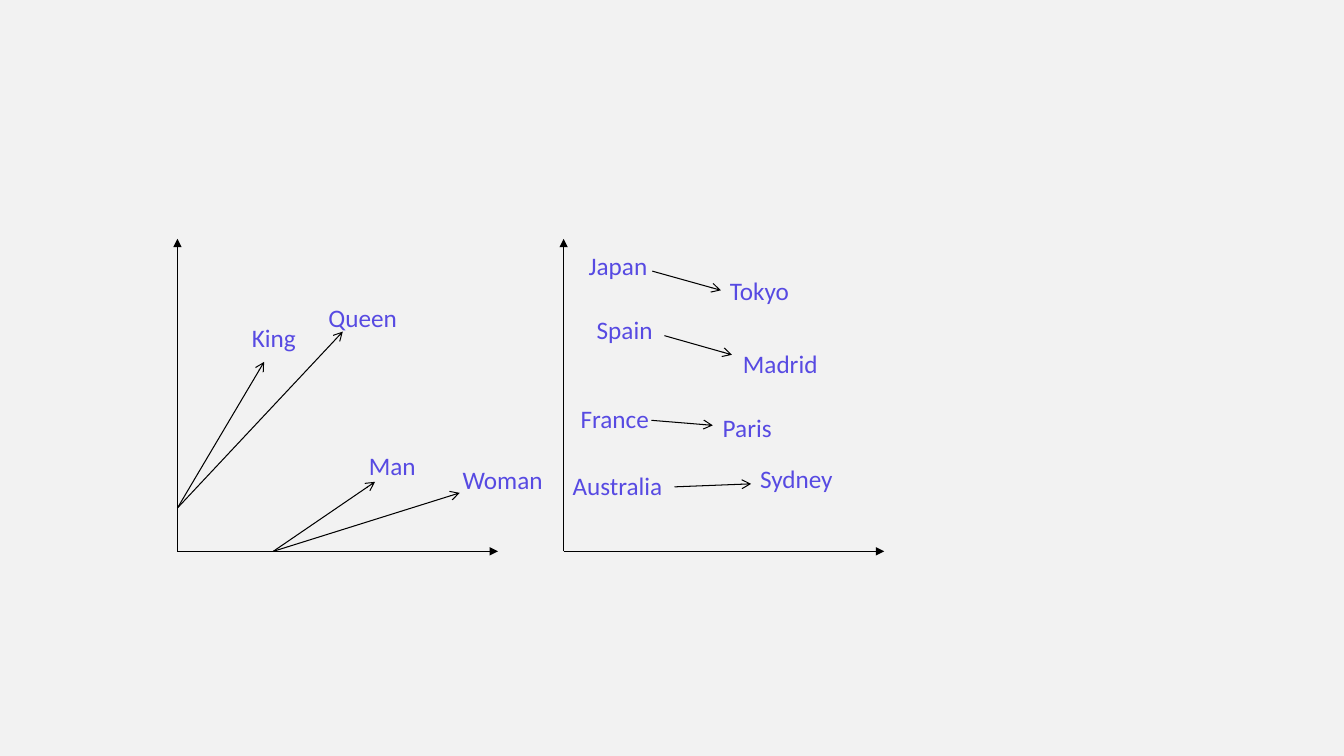
from lxml.etree import SubElement
from pptx import Presentation
from pptx.dml.color import RGBColor
from pptx.enum.shapes import MSO_CONNECTOR as Connector, MSO_SHAPE as Shape
from pptx.enum.text import MSO_AUTO_SIZE as AutoSize
from pptx.oxml.ns import qn
from pptx.util import Inches, Pt

COLORS = {"backdrop": "F2F2F2", "word": "574AE2", "line": "000000"}
AXIS_BOTTOM, AXIS_TOP, AXIS_LENGTH = 5.47, 2.37, 3.18
PLOT_LEFTS = (1.76, 5.59)
ROYAL_ORIGIN = (1.76, 5.04)
PERSON_ORIGIN = (2.71, AXIS_BOTTOM)

VECTORS = [
    (ROYAL_ORIGIN, (2.62, 3.59)),
    (ROYAL_ORIGIN, (3.4, 3.29)),
    (PERSON_ORIGIN, (3.72, 4.78)),
    (PERSON_ORIGIN, (4.56, 4.89)),
    ((6.47, 2.69), (7.15, 2.88)),
    ((6.59, 3.33), (7.26, 3.52)),
    ((6.46, 4.17), (7.07, 4.22)),
    ((6.69, 4.83), (7.45, 4.8)),
]
WORDS = [
    ("King", 2.4, 3.15, 0.93),
    ("Queen", 3.16, 2.95, 0.93),
    ("Man", 3.56, 4.42, 0.93),
    ("Woman", 4.49, 4.56, 1.1),
    ("Japan", 5.74, 2.43, 0.93),
    ("Tokyo", 7.14, 2.68, 0.93),
    ("Spain", 5.82, 3.07, 0.93),
    ("Madrid", 7.27, 3.41, 1.21),
    ("France", 5.66, 3.95, 0.93),
    ("Paris", 7.07, 4.04, 0.93),
    ("Australia", 5.58, 4.62, 1.29),
    ("Sydney", 7.44, 4.55, 0.93),
]


def rgb(name):
    return RGBColor.from_string(COLORS[name])


def add_backdrop(slide, width, height):
    backdrop = slide.shapes.add_shape(Shape.RECTANGLE, 0, 0, width, height)
    backdrop.shadow.inherit = False
    backdrop.fill.solid()
    backdrop.fill.fore_color.rgb = rgb("backdrop")
    backdrop.line.color.rgb = rgb("backdrop")
    backdrop.line.width = Pt(1)


def add_arrow(slide, start, end, weight=0.75, head="arrow"):
    ends = [Inches(value) for value in (*start, *end)]
    arrow = slide.shapes.add_connector(Connector.STRAIGHT, *ends)
    arrow.line.color.rgb = rgb("line")
    arrow.line.width = Pt(weight)
    SubElement(arrow.line._get_or_add_ln(), qn("a:tailEnd"), type=head)
    SubElement(arrow._element.spPr, qn("a:effectLst"))


def add_axes(slide, left):
    origin = (left, AXIS_BOTTOM)
    for tip in ((left + AXIS_LENGTH, AXIS_BOTTOM), (left, AXIS_TOP)):
        add_arrow(slide, origin, tip, weight=1, head="triangle")


def add_text(slide, text, left, top, width, height=0.4, size=18, color="word", font="Calibri"):
    label = slide.shapes.add_textbox(*map(Inches, (left, top, width, height)))
    frame = label.text_frame
    frame.word_wrap = True
    frame.auto_size = AutoSize.SHAPE_TO_FIT_TEXT
    run = frame.paragraphs[0].add_run()
    run.text = text
    run.font.name = font
    run.font.size = Pt(size)
    run.font.color.rgb = rgb(color)


def main():
    deck = Presentation()
    deck.slide_width, deck.slide_height = Inches(13.33), Inches(7.5)
    slide = deck.slides.add_slide(deck.slide_layouts[6])
    add_backdrop(slide, deck.slide_width, deck.slide_height)
    for left in PLOT_LEFTS:
        add_axes(slide, left)
    for start, end in VECTORS:
        add_arrow(slide, start, end)
    for word, left, top, width in WORDS:
        add_text(slide, word, left, top, width)
    deck.save("out.pptx")


if __name__ == "__main__":
    main()
